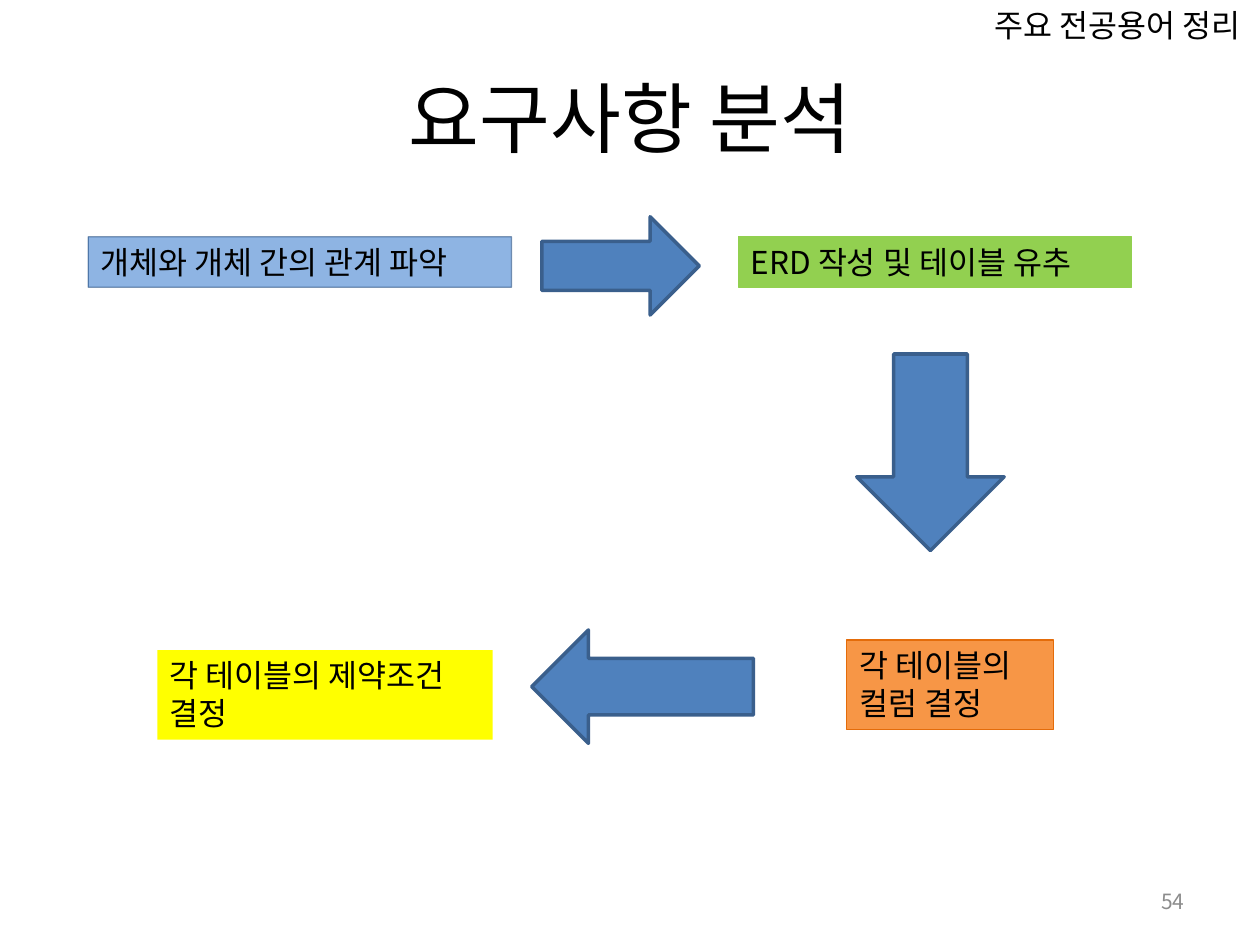
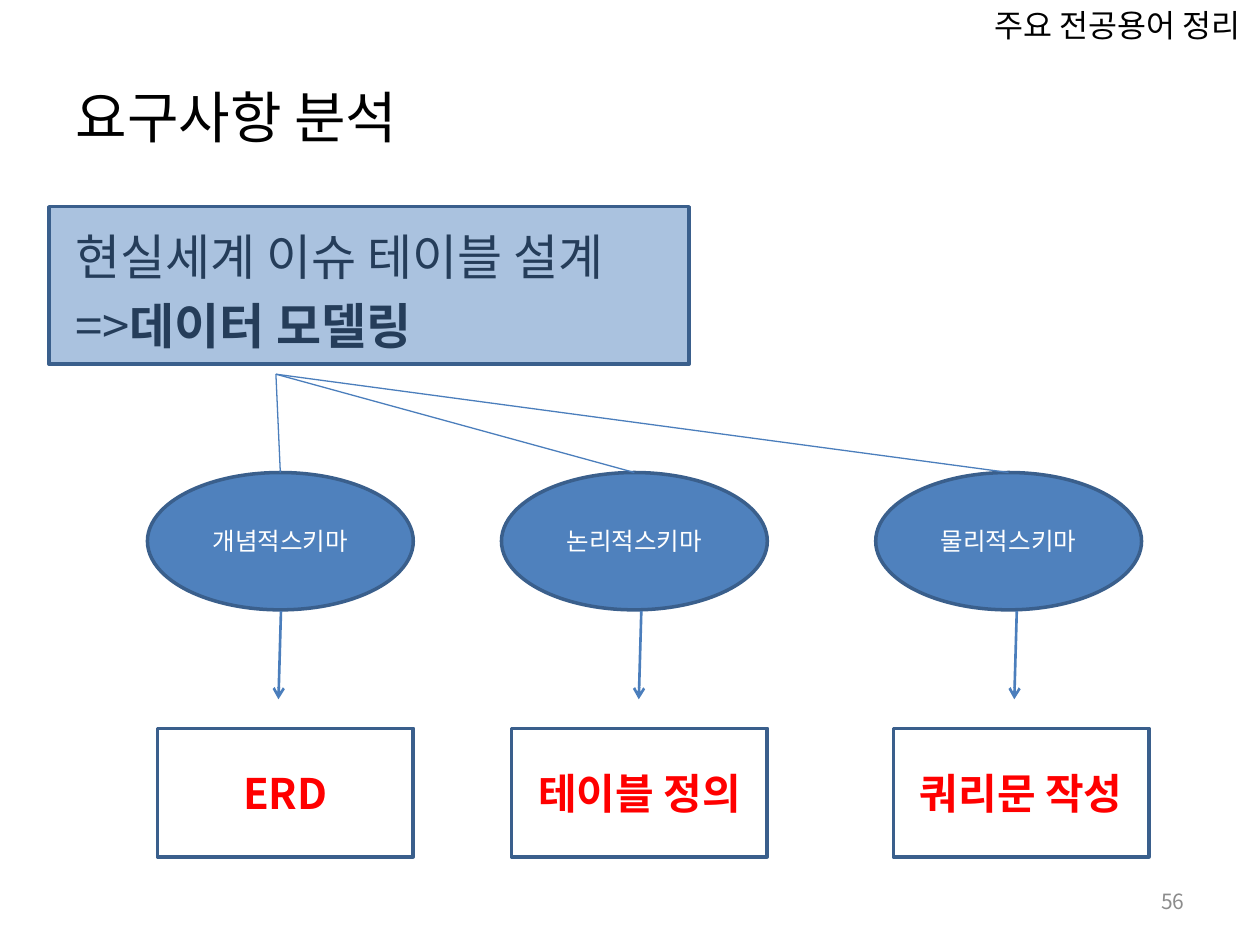
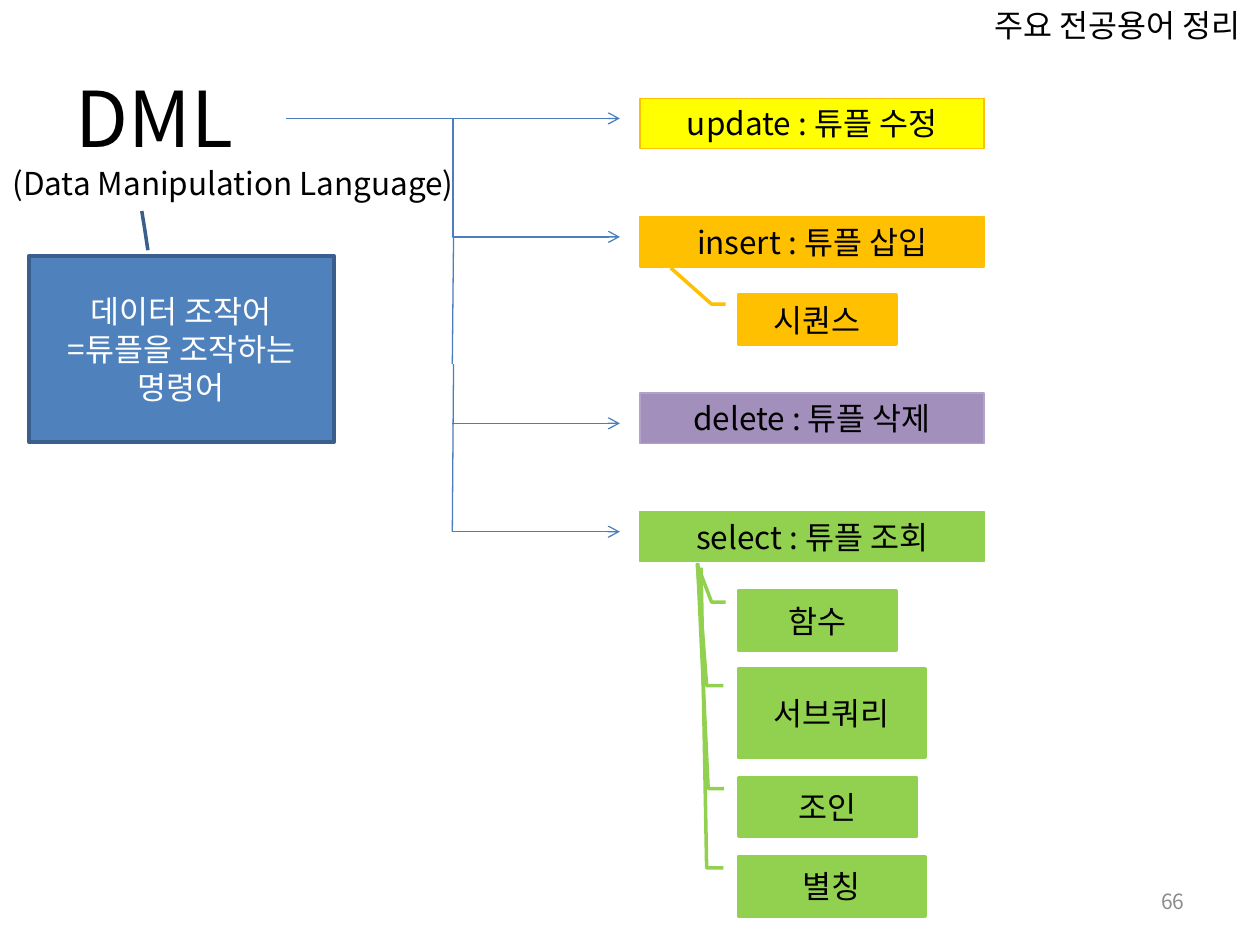
from dataclasses import dataclass

from lxml import etree
from pptx import Presentation
from pptx import util as u
from pptx.dml.color import RGBColor
from pptx.enum import shapes, text
from pptx.oxml.ns import qn

SHAPE = shapes.MSO_SHAPE
LINK = shapes.MSO_CONNECTOR
ALIGN = text.PP_ALIGN
ANCHOR = text.MSO_ANCHOR


@dataclass(frozen=True)
class Theme:
    font: str = "Noto Sans CJK KR"
    ink: str = "000000"
    white: str = "FFFFFF"
    muted: str = "8C8C8C"
    red: str = "FF0000"
    blue: str = "4F81BD"
    blue_edge: str = "3A5F8C"
    link: str = "4B7EBC"
    sky: str = "8EB4E3"
    navy: str = "1F497D"
    green: str = "92D050"
    orange: str = "F79646"
    orange_edge: str = "E46C0A"
    yellow: str = "FFFF00"
    amber: str = "FFC000"
    purple: str = "8064A2"
    purple_edge: str = "B3A2C7"
    title: int = 44
    subtitle: int = 32
    body: int = 28
    result: int = 24
    label: int = 18
    small: int = 14
    number: int = 12
    thin: float = 0.75
    medium: float = 1.5
    thick: float = 2


T = Theme()


# Formatting helpers
def apply(target, values):
    for name, value in values.items():
        setattr(target, name, value)


def write(frame, paragraphs, size=T.label, color=T.ink, align=ALIGN.LEFT, bold=False):
    """Each paragraph is a string or a list of (text, bold) runs."""
    for index, content in enumerate(paragraphs):
        paragraph = frame.paragraphs[0] if index == 0 else frame.add_paragraph()
        paragraph.alignment = align
        runs = [(content, bold)] if isinstance(content, str) else content
        for words, strong in runs:
            run = paragraph.add_run()
            run.text = words
            apply(run.font, {"size": u.Pt(size), "bold": strong, "name": T.font})
            run.font.color.rgb = RGBColor.from_string(color)
            etree.SubElement(run.font._element, qn("a:ea"), typeface=T.font)


def set_opacity(shape, color_path, percent):
    color = shape._element.spPr.xpath(color_path)[0]
    etree.SubElement(color, qn("a:alpha"), val=str(percent * 1000))


def paint(shape, fill, edge, width):
    shape.shadow.inherit = False
    if fill:
        shape.fill.solid()
        shape.fill.fore_color.rgb = RGBColor.from_string(fill)
    else:
        shape.fill.background()
    if edge:
        shape.line.color.rgb = RGBColor.from_string(edge)
        shape.line.width = u.Pt(width)
    else:
        shape.line.fill.background()


# Elements
def add_block(slide, kind, at, fill=T.blue, edge=T.blue_edge, width=T.thick,
              lines=(), **style):
    block = slide.shapes.add_shape(kind, *map(u.Inches, at))
    paint(block, fill, edge, width)
    apply(block.text_frame, {"word_wrap": True, "vertical_anchor": ANCHOR.MIDDLE})
    write(block.text_frame, lines, **{"align": ALIGN.CENTER, **style})
    return block


def add_label(slide, at, words, fill, edge, align=ALIGN.LEFT):
    label = add_block(slide, SHAPE.RECTANGLE, at, fill, edge, T.thin, [words], align=align)
    apply(label.text_frame, {"vertical_anchor": ANCHOR.TOP,
                             "auto_size": text.MSO_AUTO_SIZE.SHAPE_TO_FIT_TEXT})
    return label


def add_callout(slide, at, lines, leader, **style):
    callout = add_block(slide, SHAPE.LINE_CALLOUT_2, at, lines=lines, **style)
    for index, value in enumerate(leader):
        callout.adjustments[index] = value


def add_note(slide, at, words, anchor=ANCHOR.TOP, **style):
    note = slide.shapes.add_textbox(*map(u.Inches, at))
    apply(note.text_frame, {"word_wrap": True, "vertical_anchor": anchor})
    write(note.text_frame, [words], **style)


def add_link(slide, start, end, width=T.thin, arrow=False, kind=LINK.STRAIGHT):
    link = slide.shapes.add_connector(kind, *map(u.Inches, (*start, *end)))
    link.line.color.rgb = RGBColor.from_string(T.link)
    link.line.width = u.Pt(width)
    if arrow:
        etree.SubElement(link.line._get_or_add_ln(), qn("a:tailEnd"), type="arrow")
    etree.SubElement(link._element.spPr, qn("a:effectLst"))


def start_slide(deck, layout, title, number, size=T.title, align=ALIGN.LEFT, title_width=9):
    slide = deck.slides.add_slide(deck.slide_layouts[layout])
    heading = slide.shapes.title
    apply(heading, {"left": u.Inches(0.5), "top": u.Inches(0.3),
                    "width": u.Inches(title_width), "height": u.Inches(1.25)})
    write(heading.text_frame, [title], size, align=align)
    add_note(slide, (7.58, 0, 2.58, 0.4), "주요 전공용어 정리", align=ALIGN.CENTER)
    add_note(slide, (7.17, 6.95, 2.33, 0.4), str(number), ANCHOR.MIDDLE,
             size=T.number, color=T.muted, align=ALIGN.RIGHT)
    return slide


# Slides
def requirement_steps(deck):
    slide = start_slide(deck, 5, "요구사항 분석", 54, align=ALIGN.CENTER)
    relations = add_label(slide, (0.7, 1.88, 3.36, 0.4), "개체와 개체 간의 관계 파악",
                          T.sky, T.navy)
    set_opacity(relations, "./a:ln//a:srgbClr", 56)
    for at, words, fill, edge in (
        ((5.86, 1.88, 3.12, 0.4), "ERD 작성 및 테이블 유추", T.green, T.green),
        ((6.72, 5.08, 1.64, 0.71), "각 테이블의 컬럼 결정", T.orange, T.orange_edge),
        ((1.25, 5.16, 2.66, 0.71), "각 테이블의 제약조건 결정", T.yellow, None),
    ):
        add_label(slide, at, words, fill, edge)
    for direction, at in (
        (SHAPE.RIGHT_ARROW, (4.3, 1.72, 1.25, 0.78)),
        (SHAPE.DOWN_ARROW, (6.8, 2.81, 1.17, 1.56)),
        (SHAPE.LEFT_ARROW, (4.22, 5, 1.76, 0.9)),
    ):
        add_block(slide, direction, at)


def modeling_schemas(deck):
    slide = start_slide(deck, 1, "요구사항 분석", 56, T.subtitle)

    # Statement under its translucent panel
    statement = slide.placeholders[1]
    apply(statement, {"left": u.Inches(0.5), "top": u.Inches(1.75),
                      "width": u.Inches(9), "height": u.Inches(4.95)})
    write(statement.text_frame,
          ["현실세계 이슈 테이블 설계", [("=>", False), ("데이터 모델링", True)]], T.body)
    for paragraph in statement.text_frame.paragraphs:
        etree.SubElement(paragraph._p.get_or_add_pPr(), qn("a:buNone"))
    statement.text_frame.paragraphs[0].space_before = u.Pt(0)
    panel = add_block(slide, SHAPE.RECTANGLE, (0.39, 1.64, 5.08, 1.25))
    set_opacity(panel, "./a:solidFill/a:srgbClr", 48)

    # Schemas and what each one produces
    hub, schema_width, schema_top = (2.19, 2.97), 2.11, 3.75
    for schema, schema_left, arrow_x, result, result_left in (
        ("개념적스키마", 1.17, 2.23, "ERD", 1.25),
        ("논리적스키마", 3.98, 5.09, "테이블 정의", 4.06),
        ("물리적스키마", 6.95, 8.07, "쿼리문 작성", 7.09),
    ):
        add_block(slide, SHAPE.OVAL, (schema_left, schema_top, schema_width, 1.09),
                  lines=[schema], size=T.small, color=T.white)
        add_block(slide, SHAPE.RECTANGLE, (result_left, 5.78, 2.03, 1.02), fill=None,
                  lines=[result], size=T.result, color=T.red, bold=True)
        add_link(slide, hub, (schema_left + schema_width / 2, schema_top))
        add_link(slide, (arrow_x, 4.85), (arrow_x - 0.02, 5.55), T.medium, arrow=True)


def dml_commands(deck):
    slide = start_slide(deck, 5, "DML", 66, align=ALIGN.JUSTIFY, title_width=1.69)
    add_note(slide, (0, 1.25, 4.38, 0.4), "(Data Manipulation Language)")
    add_callout(slide, (0.23, 2.03, 2.42, 1.48), ["데이터 조작어", "=튜플을 조작하는 명령어"],
                (-0.03, 0.39, -0.14, 0.38, -0.24, 0.37), color=T.white)

    # Branches from the title to the commands
    trunk, tip = 3.59, 4.92
    add_link(slide, (2.27, 0.94), (tip, 1.88), arrow=True, kind=LINK.ELBOW)
    for y in (0.94, 3.36, 4.22):
        add_link(slide, (trunk, y), (tip, y), arrow=True)
    for top, bottom in ((1.88, 2.89), (2.89, 4.22)):
        add_link(slide, (trunk + 0.01, top), (trunk, bottom))

    # Commands
    for top, words, fill, edge in (
        (0.78, "update : 튜플 수정", T.yellow, T.amber),
        (1.72, "insert : 튜플 삽입", T.amber, T.amber),
        (3.12, "delete : 튜플 삭제", T.purple, T.purple_edge),
        (4.06, "select : 튜플 조회", T.green, T.green),
    ):
        command = add_label(slide, (5.08, top, 2.73, 0.4), words, fill, edge, ALIGN.CENTER)
        if fill == T.purple:
            set_opacity(command, "./a:solidFill/a:srgbClr", 72)

    # Topics hanging from the insert and select commands
    elbow = (0.19, -0.08, 0.19, -0.17)
    for top, width, height, topic, color, leader_end in (
        (2.34, 1.25, 0.39, "시퀀스", T.amber, (-0.55, -0.43)),
        (4.69, 1.25, 0.47, "함수", T.green, (-0.44, -0.26)),
        (5.31, 1.48, 0.7, "서브쿼리", T.green, (-1.19, -0.22)),
        (6.17, 1.41, 0.47, "조인", T.green, (-3.62, -0.23)),
        (6.8, 1.48, 0.47, "별칭", T.green, (-4.88, -0.2)),
    ):
        add_callout(slide, (5.86, top, width, height), [topic], elbow + leader_end,
                    fill=color, edge=color)


def main():
    deck = Presentation()
    apply(deck, {"slide_width": u.Inches(10), "slide_height": u.Inches(7.5)})
    requirement_steps(deck)
    modeling_schemas(deck)
    dml_commands(deck)
    deck.save("out.pptx")


if __name__ == "__main__":
    main()
